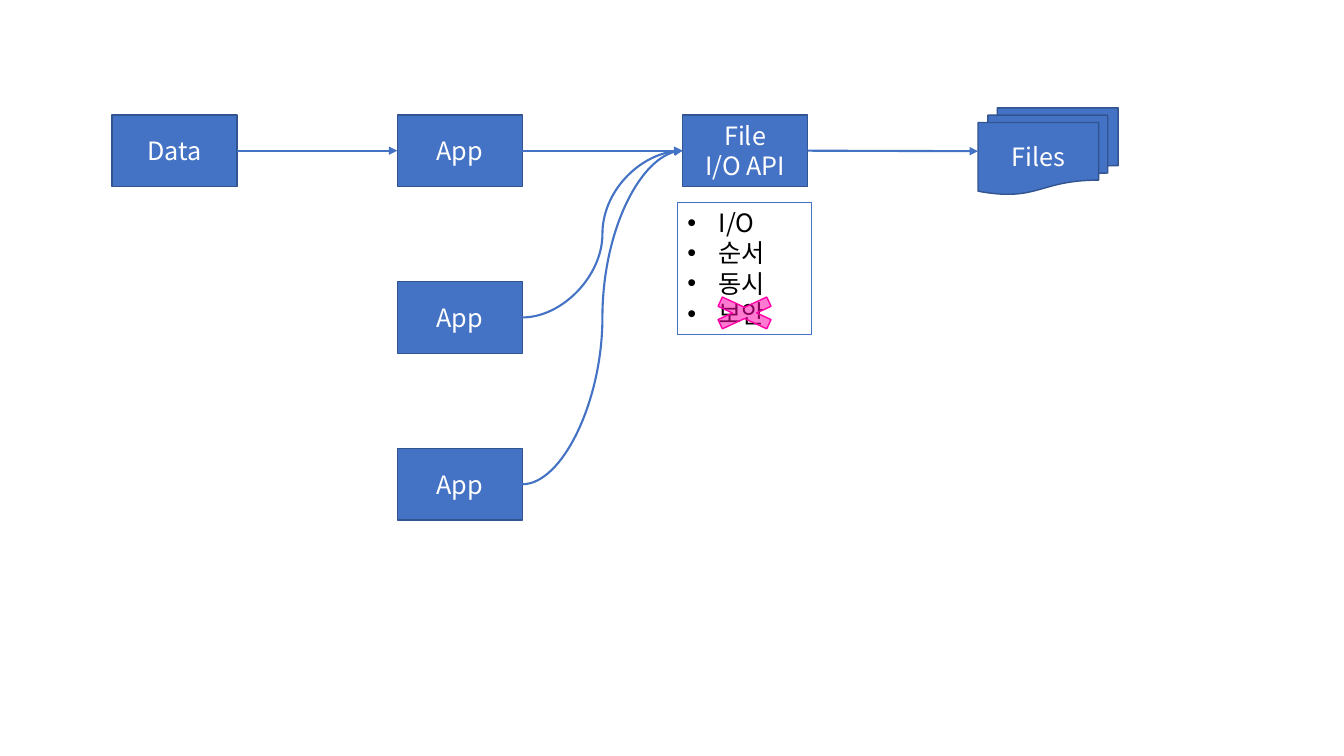
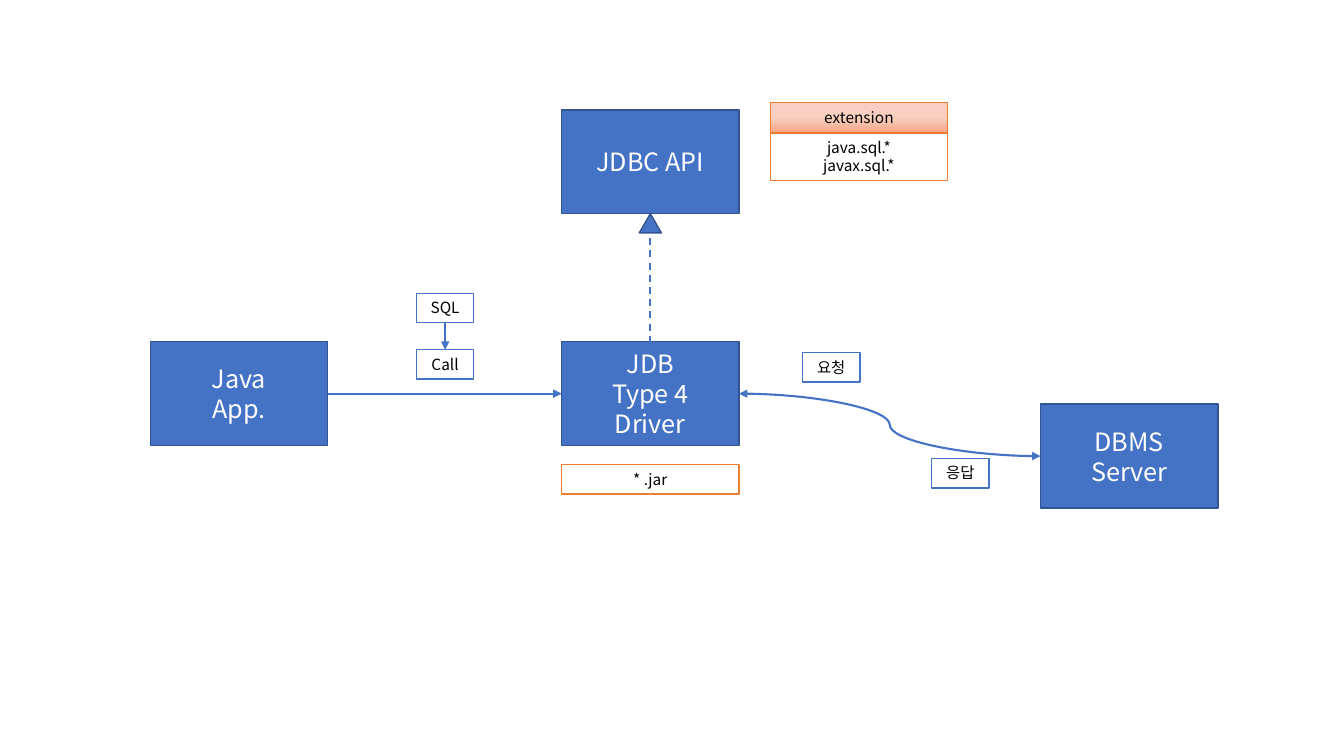
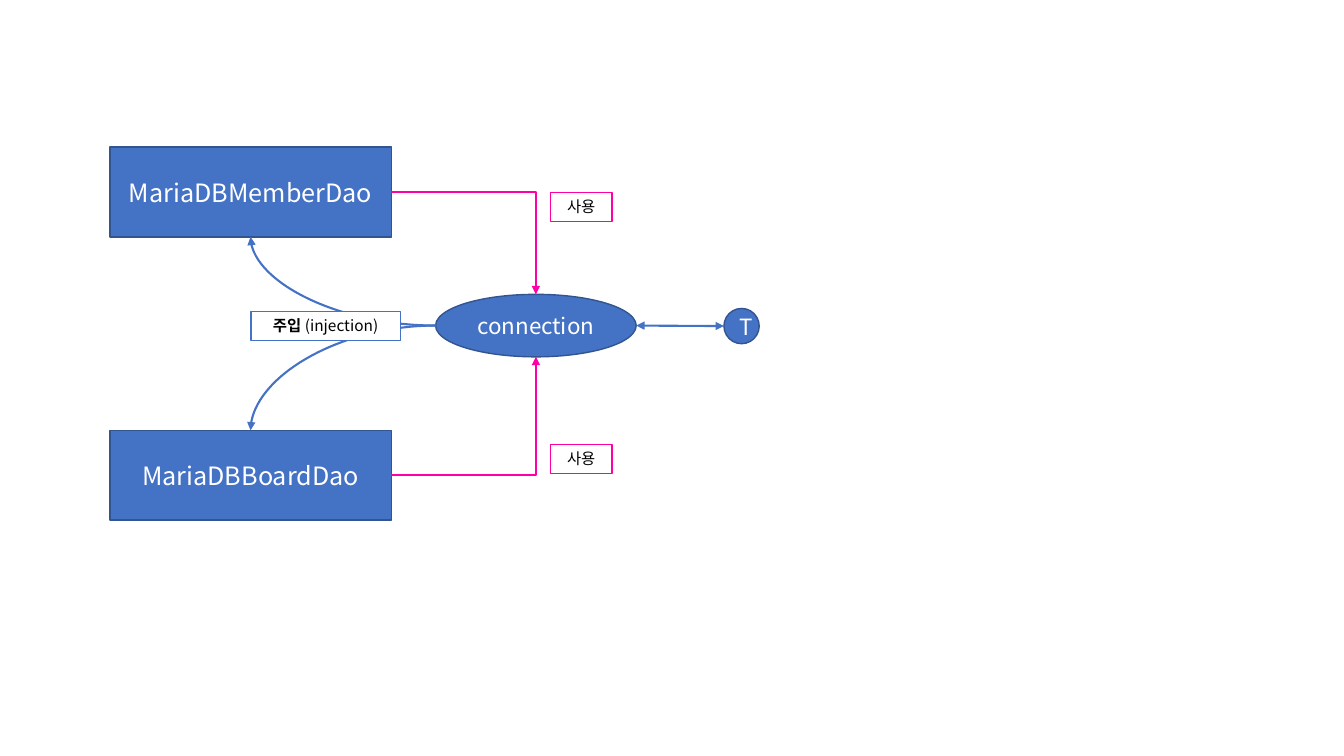
import pptx
import pptx.util
from pptx.dml.color import RGBColor
from pptx.enum.dml import MSO_LINE
from pptx.enum.shapes import MSO_CONNECTOR, MSO_SHAPE
from pptx.enum.text import MSO_ANCHOR, MSO_AUTO_SIZE, PP_ALIGN
from pptx.oxml.ns import qn
from pptx.oxml.xmlchemy import OxmlElement
from pptx.util import Inches, Pt

FONT = "Noto Sans CJK KR"
COLORS = {"blue": "4472C4", "navy": "325491", "pink": "FF00A8", "orange": "ED7D31",
          "peach": "F5B196", "coral": "F8A582", "white": "FFFFFF", "black": "000000"}

BLOCK = {"fill": "blue", "line": "navy", "size": 18, "color": "white"}
NOTE = {"fill": "white", "line": "blue", "size": 11, "color": "black", "grow": True}
STYLES = {
    "block": BLOCK,
    "round": {**BLOCK, "size": 16},
    "list": {**NOTE, "size": 18, "bullet": True},
    "note": NOTE,
    "orange note": {**NOTE, "line": "orange"},
    "pink note": {**NOTE, "line": "pink"},
    "heading": {**NOTE, "line": "orange", "line_width": 0.5, "gradient": ("peach", "coral")},
    "cross": {**BLOCK, "fill": "pink", "line": "pink", "opacity": 52},
}
RECT, OVAL = MSO_SHAPE.RECTANGLE, MSO_SHAPE.OVAL
TOP, LEFT, BOTTOM, RIGHT = range(4)

# Slide 1: a grid of equal blocks
COL_X = [1.11 + 2.83 * i for i in range(3)]
ROW_Y = [1.14 + 1.655 * i for i in range(3)]
SMALL = (1.24, 0.71)
# Slide 2
LARGE = (1.76, 1.03)
DRIVER_X, DRIVER_Y = 5.57, 3.39
TAG = (0.57, 0.29)
WIDE_TAG = (1.76, 0.29)
# Slide 3
DAO = (2.79, 0.89)
USE_TAG = (0.61, 0.29)

# Boxes and labels: name, style, preset, position, size, lines of text
# Links: kind, from, side, to, side, and format values
SLIDES = [
    {
        "boxes": [
            ("data", "block", RECT, (COL_X[0], ROW_Y[0]), SMALL, ["Data"]),
            *[(f"app{i}", "block", RECT, (COL_X[1], y), SMALL, ["App"])
              for i, y in enumerate(ROW_Y)],
            ("api", "block", RECT, (COL_X[2], ROW_Y[0]), SMALL, ["File", "I/O API"]),
            ("files", "block", MSO_SHAPE.FLOWCHART_MULTIDOCUMENT, (9.7, 1.07), (1.39, 0.86),
             ["Files"]),
        ],
        "links": [
            ("line", "data", RIGHT, "app0", LEFT, {}),
            ("line", "app0", RIGHT, "api", LEFT, {}),
            ("line", "api", RIGHT, "files", LEFT, {}),
            ("curvedConnector3", "app1", RIGHT, "api", LEFT, {}),
            ("curvedConnector3", "app2", RIGHT, "api", LEFT, {}),
        ],
        "labels": [
            ("duties", "list", RECT, (6.72, 2.01), (1.33, 1.31), ["I/O", "순서", "동시", "보안"]),
            ("cross", "cross", MSO_SHAPE.MATH_MULTIPLY, (6.92, 2.89), (0.93, 0.43), []),
        ],
    },
    {
        "boxes": [
            ("api", "block", RECT, (DRIVER_X, 1.09), LARGE, ["JDBC API"]),
            ("server", "block", RECT, (10.32, 4.01), LARGE, ["DBMS", "Server"]),
            ("driver", "block", RECT, (DRIVER_X, DRIVER_Y), LARGE, ["JDB", "Type 4", "Driver"]),
            ("java", "block", RECT, (1.49, DRIVER_Y), LARGE, ["Java", "App."]),
            ("sql", "note", RECT, (4.13, 2.91), TAG, ["SQL"]),
            ("call", "note", RECT, (4.13, 3.47), TAG, ["Call"]),
        ],
        "links": [
            ("line", "api", BOTTOM, "driver", TOP,
             {"width": 1.25, "dash": MSO_LINE.DASH, "tail": False}),
            ("line", "java", RIGHT, "driver", LEFT, {}),
            ("curvedConnector3", "driver", RIGHT, "server", LEFT, {"head": True}),
            ("line", "sql", BOTTOM, "call", TOP, {}),
        ],
        "labels": [
            ("implements", "block", MSO_SHAPE.ISOSCELES_TRIANGLE, (6.34, 2.12), (0.22, 0.19), []),
            ("request", "note", RECT, (7.96, 3.5), TAG, ["요청"]),
            ("response", "note", RECT, (9.24, 4.55), TAG, ["응답"]),
            ("jar", "orange note", RECT, (DRIVER_X, 4.61), WIDE_TAG, ["* .jar"]),
            ("packages", "orange note", RECT, (7.64, 1.32), (1.76, 0.47),
             ["java.sql.*", "javax.sql.*"]),
            ("extension", "heading", RECT, (7.64, 1.02), WIDE_TAG, ["extension"]),
        ],
    },
    {
        "boxes": [
            ("member", "block", RECT, (1.09, 1.46), DAO, ["MariaDBMemberDao"]),
            ("board", "block", RECT, (1.09, 4.27), DAO, ["MariaDBBoardDao"]),
            ("connection", "round", OVAL, (4.32, 2.92), (1.99, 0.62), ["connection"]),
            ("transaction", "round", OVAL, (7.18, 3.06), (0.35, 0.35), ["T"]),
        ],
        "links": [
            ("line", "connection", RIGHT, "transaction", LEFT, {"head": True}),
            ("curvedConnector2", "connection", LEFT, "member", BOTTOM, {}),
            ("curvedConnector2", "connection", LEFT, "board", TOP, {}),
            ("bentConnector2", "member", RIGHT, "connection", TOP, {"color": "pink"}),
            ("bentConnector2", "board", RIGHT, "connection", BOTTOM, {"color": "pink"}),
        ],
        "labels": [
            ("injection", "note", RECT, (2.49, 3.09), (1.48, 0.29),
             [[("주입", True), (" (injection)", False)]]),
            ("member use", "pink note", RECT, (5.46, 1.91), USE_TAG, ["사용"]),
            ("board use", "pink note", RECT, (5.46, 4.41), USE_TAG, ["사용"]),
        ],
    },
]


def rgb(name):
    return RGBColor.from_string(COLORS[name])


def add_child(parent, tag, **attributes):
    child = OxmlElement(tag)
    for key, value in attributes.items():
        child.set(key, str(value))
    parent.append(child)
    return child


def set_opacity(element, percent):
    """Make the first colour inside the element see-through."""
    color = next(element.iter(qn("a:srgbClr")))
    add_child(color, "a:alpha", val=percent * 1000)


def paint(sp, style):
    if "gradient" in style:
        sp.fill.gradient()
        sp.fill.gradient_angle = 270
        for stop, position, name in zip(sp.fill.gradient_stops, (0.5, 1), style["gradient"]):
            stop.position = position
            stop.color.rgb = rgb(name)
        set_opacity(sp.element.spPr, 60)
    else:
        sp.fill.solid()
        sp.fill.fore_color.rgb = rgb(style["fill"])
        if "opacity" in style:
            set_opacity(sp.element.spPr, style["opacity"])
    sp.line.color.rgb = rgb(style["line"])
    sp.line.width = Pt(style.get("line_width", 1))
    sp.shadow.inherit = False


def write(tf, lines, style):
    grow = style.get("grow", False)
    tf.word_wrap = True
    tf.vertical_anchor = MSO_ANCHOR.TOP if grow else MSO_ANCHOR.MIDDLE
    tf.auto_size = MSO_AUTO_SIZE.SHAPE_TO_FIT_TEXT if grow else MSO_AUTO_SIZE.NONE
    for i, line in enumerate(lines):
        p = tf.add_paragraph() if i else tf.paragraphs[0]
        p.alignment = PP_ALIGN.CENTER
        if style.get("bullet"):
            p.alignment = PP_ALIGN.LEFT
            pPr = p._p.get_or_add_pPr()
            pPr.set("marL", str(Inches(0.31)))
            pPr.set("indent", str(-Inches(0.31)))
            add_child(pPr, "a:buFont", typeface="Arial")
            add_child(pPr, "a:buChar", char="•")
        for text, bold in [(line, False)] if isinstance(line, str) else line:
            r = p.add_run()
            r.text = text
            values = {"name": FONT, "size": Pt(style["size"]), "bold": bold}
            for key, value in values.items():
                setattr(r.font, key, value)
            r.font.color.rgb = rgb(style["color"])
            add_child(r._r.get_or_add_rPr(), "a:ea", typeface=FONT)


def add_box(s, style_name, preset, position, size, lines):
    style = STYLES[style_name]
    sp = s.shapes.add_shape(preset, *map(Inches, position + size))
    paint(sp, style)
    write(sp.text_frame, lines, style)
    return sp


def add_link(s, kind, start, start_side, end, end_side, values):
    types = {"line": MSO_CONNECTOR.STRAIGHT, "curvedConnector3": MSO_CONNECTOR.CURVE,
             "curvedConnector2": MSO_CONNECTOR.CURVE, "bentConnector2": MSO_CONNECTOR.ELBOW}
    cxn = s.shapes.add_connector(types[kind], 0, 0, 0, 0)
    cxn.begin_connect(start, start_side)
    cxn.end_connect(end, end_side)
    # An oval has eight connection sites, so each side is every second one
    for tag, sp, side in (("a:stCxn", start, start_side), ("a:endCxn", end, end_side)):
        if sp.auto_shape_type == OVAL:
            next(cxn.element.iter(qn(tag))).set("idx", str(side * 2))
    spPr = cxn.element.spPr
    spPr.find(qn("a:prstGeom")).set("prst", kind)
    cxn.line.color.rgb = rgb(values.get("color", "blue"))
    cxn.line.width = Pt(values.get("width", 1.5))
    if "dash" in values:
        cxn.line.dash_style = values["dash"]
    ln = spPr.find(qn("a:ln"))
    if values.get("head", False):
        add_child(ln, "a:headEnd", type="triangle")
    if values.get("tail", True):
        add_child(ln, "a:tailEnd", type="triangle")
    add_child(spPr, "a:effectLst")


def main():
    prs = pptx.Presentation()
    prs.slide_width, prs.slide_height = Inches(13.33), Inches(7.5)
    blank = prs.slide_layouts[6]
    for content in SLIDES:
        s = prs.slides.add_slide(blank)
        boxes = {name: add_box(s, *rest) for name, *rest in content["boxes"]}
        for kind, start, start_side, end, end_side, values in content["links"]:
            add_link(s, kind, boxes[start], start_side, boxes[end], end_side, values)
        for _, *rest in content["labels"]:
            add_box(s, *rest)
    prs.save("out.pptx")


if __name__ == "__main__":
    main()
